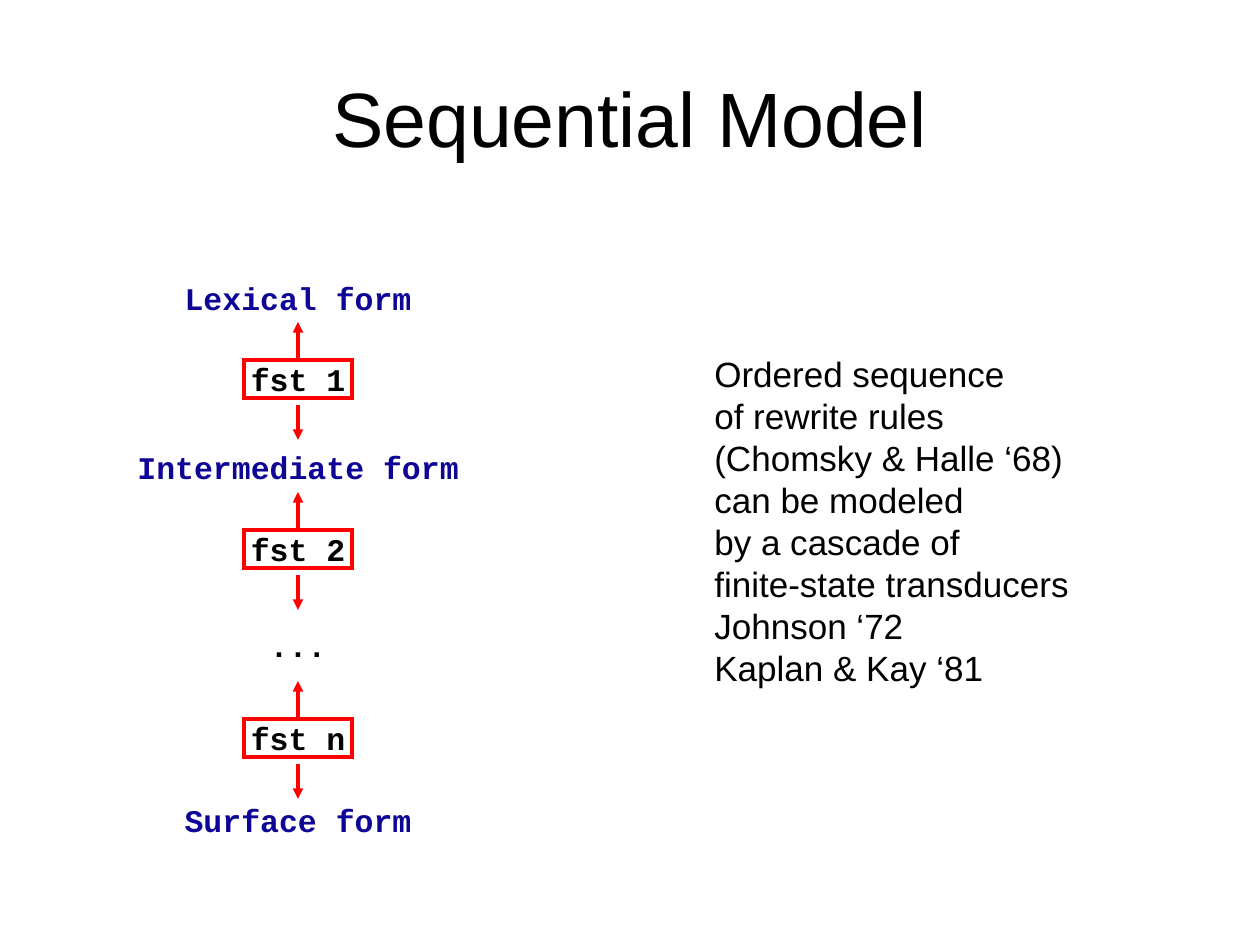
from lxml import etree
from pptx import Presentation
from pptx import util as u
from pptx.dml.color import RGBColor
from pptx.enum import shapes, text
from pptx.oxml.ns import qn

PX = u.Inches(1) / 126
BLACK, NAVY, RED = "000000", "0E0496", "FF0000"
CENTER_X = 298
BOX_W, BOX_H = 108, 38
UP_LEN, DOWN_GAP, DOWN_LEN = 38, 7, 35

MONO = {"name": "Courier New", "size": u.Pt(18), "bold": True}
TITLE = {"name": "Arial", "size": u.Pt(44)}
BODY = {"name": "Arial", "size": u.Pt(20)}

FORMS = [  # text, top, width, colour
    ("Lexical form", 273, 260, NAVY),
    ("Intermediate form", 442, 356, NAVY),
    ("...", 620, 90, BLACK),
    ("Surface form", 795, 260, NAVY),
]
TRANSDUCERS = [("fst 1", 360), ("fst 2", 530), ("fst n", 719)]
EXPLANATION = [
    "Ordered sequence",
    "of rewrite rules",
    "(Chomsky & Halle ‘68)",
    "can be modeled",
    "by a cascade of",
    "finite-state transducers",
    "Johnson ‘72",
    "Kaplan & Kay ‘81",
]


def px(*values):
    return [u.Emu(round(v * PX)) for v in values]


def color(value):
    return RGBColor.from_string(value)


def apply(target, values):
    for name, value in values.items():
        setattr(target, name, value)


def write(sp, lines, font, hex_color=BLACK, align=text.PP_ALIGN.CENTER, **frame):
    """Fill the shape with one paragraph per line."""
    tf = sp.text_frame
    apply(tf, {"word_wrap": False,
               "auto_size": text.MSO_AUTO_SIZE.SHAPE_TO_FIT_TEXT,
               "vertical_anchor": text.MSO_ANCHOR.TOP, **frame})
    for i, line in enumerate(lines):
        p = tf.add_paragraph() if i else tf.paragraphs[0]
        p.alignment = align
        r = p.add_run()
        r.text = line
        apply(r.font, font)
        r.font.color.rgb = color(hex_color)


def add_label(s, lines, box, font, **kwargs):
    write(s.shapes.add_textbox(*px(*box)), lines, font, **kwargs)


def draw_outline(sp, detail, **attributes):
    """Red line, with one extra element for its corners or arrowhead."""
    sp.line.color.rgb = color(RED)
    sp.line.width = u.Pt(2)
    etree.SubElement(sp._element.spPr.find(qn("a:ln")), qn(detail), **attributes)


def add_arrow(s, y1, y2):
    c = s.shapes.add_connector(shapes.MSO_CONNECTOR.STRAIGHT,
                               *px(CENTER_X, y1, CENTER_X, y2))
    draw_outline(c, "a:tailEnd", type="triangle")
    etree.SubElement(c._element.spPr, qn("a:effectLst"))
    return c


def add_transducer(s, name, top):
    """Red box with an arrow leading up and one leading down."""
    sp = s.shapes.add_shape(shapes.MSO_SHAPE.RECTANGLE,
                            *px(CENTER_X - BOX_W / 2, top, BOX_W, BOX_H))
    sp.shadow.inherit = False
    sp.fill.background()
    draw_outline(sp, "a:miter", lim="800000")
    side = u.Inches(0.05)
    write(sp, [name], MONO, margin_left=side, margin_right=side,
          margin_top=0, margin_bottom=0)
    add_arrow(s, top, top - UP_LEN).begin_connect(sp, 0)
    start = top + BOX_H + DOWN_GAP
    add_arrow(s, start, start + DOWN_LEN)


def main():
    prs = Presentation()
    prs.slide_width, prs.slide_height = px(1260, 945)
    s = prs.slides.add_slide(prs.slide_layouts[6])
    add_label(s, ["Sequential Model"], (63, 38, 1134, 158), TITLE,
              word_wrap=True, auto_size=text.MSO_AUTO_SIZE.NONE,
              vertical_anchor=text.MSO_ANCHOR.MIDDLE)
    for form, top, width, hex_color in FORMS:
        add_label(s, [form], (CENTER_X - width / 2, top, width, 50), MONO,
                  hex_color=hex_color)
    for name, top in TRANSDUCERS:
        add_transducer(s, name, top)
    add_label(s, EXPLANATION, (702, 346, 390, 348), BODY,
              align=text.PP_ALIGN.LEFT)
    prs.save("out.pptx")


if __name__ == "__main__":
    main()
